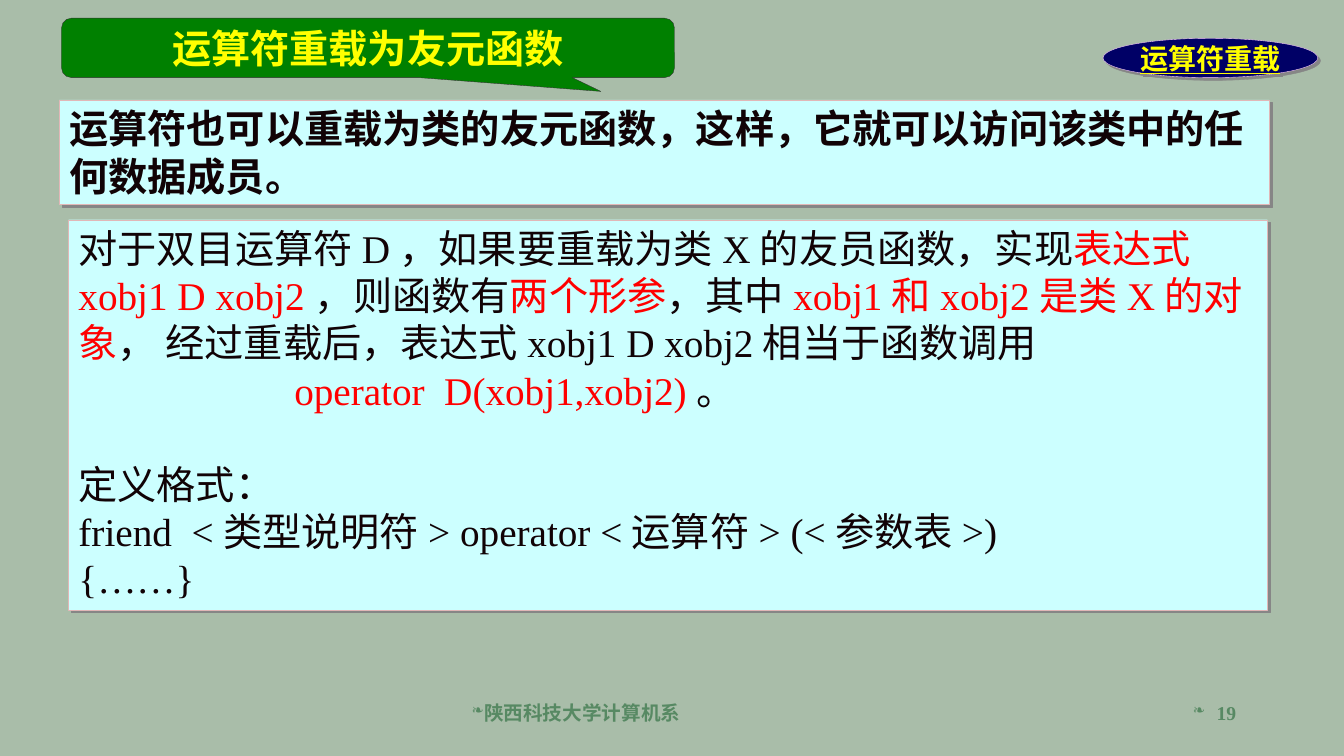
from lxml import etree
from pptx import Presentation
from pptx.dml.color import RGBColor
from pptx.enum.shapes import MSO_SHAPE
from pptx.enum.text import MSO_ANCHOR, PP_ALIGN
from pptx.oxml.ns import qn
from pptx.util import Inches, Pt

RECT, ELLIPSE = MSO_SHAPE.RECTANGLE, MSO_SHAPE.OVAL
CALLOUT = MSO_SHAPE.ROUNDED_RECTANGULAR_CALLOUT
TOP, MIDDLE = MSO_ANCHOR.TOP, MSO_ANCHOR.MIDDLE
LEFT, CENTER, RIGHT = PP_ALIGN.LEFT, PP_ALIGN.CENTER, PP_ALIGN.RIGHT
SERIF, SANS = "Times New Roman", "Noto Sans CJK SC"
COLORS = {
    "bg": "A9BDA9", "panel": "CCFFFF", "panel_line": "E1B7B7",
    "banner": "008000", "banner_line": "333333",
    "badge": "000066", "badge_line": "FFCCFF", "shadow": "868686",
    "title": "FFFF00", "ink": "110306", "key": "FF0000", "footer": "578963",
}


def rgb(name):
    return RGBColor.from_string(COLORS[name])


def add_run(p, text, color, size=28, bold=False, font=SERIF):
    r = p.add_run()
    r.text = text
    r.font.size = Pt(size)
    r.font.bold = bold
    r.font.name = font
    r.font.color.rgb = rgb(color)
    etree.SubElement(r._r.get_or_add_rPr(), qn("a:ea"), typeface=SANS)
    return r


def add_box(s, kind, box, fill, line, anchor=TOP, shadow=True):
    sp = s.shapes.add_shape(kind, *map(Inches, box))
    sp.fill.solid()
    sp.fill.fore_color.rgb = rgb(fill)
    sp.line.color.rgb = rgb(line)
    sp.line.width = Pt(0.25)
    sp.shadow.inherit = False
    if shadow:
        effects = sp._element.spPr.find(qn("a:effectLst"))
        outer = etree.SubElement(effects, qn("a:outerShdw"), dist=str(Pt(2.8)),
                                 dir="2700000", algn="ctr", rotWithShape="0")
        etree.SubElement(outer, qn("a:srgbClr"), val=COLORS["shadow"])
    tf = sp.text_frame
    tf.word_wrap = True
    tf.vertical_anchor = anchor
    tf.paragraphs[0].alignment = LEFT
    return sp


def add_banner(s, box, text):
    sp = add_box(s, CALLOUT, box, "banner", "banner_line", MIDDLE, False)
    for i, value in enumerate((0.38, 0.732, 0.167)):
        sp.adjustments[i] = value
    p = sp.text_frame.paragraphs[0]
    p.alignment = CENTER
    add_run(p, text, "title", bold=True)


def add_badge(s, box, text):
    sp = add_box(s, ELLIPSE, box, "badge", "badge_line", MIDDLE)
    tf = sp.text_frame
    tf.word_wrap = False
    p = tf.paragraphs[0]
    p.alignment = CENTER
    add_run(p, text, "title", 20, True).font.underline = True


def add_summary(s, box, text):
    tf = add_box(s, RECT, box, "panel", "panel_line").text_frame
    add_run(tf.paragraphs[0], text, "ink", bold=True, font=SANS)


def add_details(s, box, paragraphs):
    tf = add_box(s, RECT, box, "panel", "panel_line").text_frame
    for i, (indent, before, runs) in enumerate(paragraphs):
        p = tf.add_paragraph() if i else tf.paragraphs[0]
        p.alignment = LEFT
        p.space_before = Pt(before)
        p._p.get_or_add_pPr().set("indent", str(Inches(indent)))
        for text, color in runs:
            add_run(p, text, color)


def add_footer(s, box, text, align):
    tf = s.shapes.add_textbox(*map(Inches, box)).text_frame
    tf.word_wrap = True
    p = tf.paragraphs[0]
    p.alignment = align
    p.space_before = Pt(3)
    pPr = p._p.get_or_add_pPr()
    etree.SubElement(pPr, qn("a:buSzPct"), val="75000")
    etree.SubElement(pPr, qn("a:buChar"), char="❧")
    add_run(p, text, "footer", 14, True)


DETAILS = [
    (0, 0, [
        ("对于双目运算符D，如果要重载为类X的友员函数，实现", "ink"),
        ("表达式xobj1 D xobj2", "key"),
        ("，则函数有", "ink"),
        ("两个形参", "key"),
        ("，其中", "ink"),
        ("xobj1和xobj2是类X的对象", "key"),
        ("， 经过重载后，表达式xobj1 D xobj2相当于函数调用", "ink"),
    ]),
    (2.14, 0, [("operator  D(xobj1,xobj2)", "key"), ("。", "ink")]),
    (0, 33.5, [("定义格式：", "ink")]),
    (0, 0, [("friend  <类型说明符> operator <运算符> (<参数表>)", "ink")]),
    (0, 0, [("{……}", "ink")]),
]


def main():
    prs = Presentation()
    prs.slide_width, prs.slide_height = Inches(13.33), Inches(7.5)
    s = prs.slides.add_slide(prs.slide_layouts[6])
    s.background.fill.solid()
    s.background.fill.fore_color.rgb = rgb("bg")
    add_summary(s, (0.59, 0.99, 12, 1.04),
                "运算符也可以重载为类的友元函数，这样，它就可以访问该类中的任何数据成员。")
    add_banner(s, (0.61, 0.18, 6.08, 0.59), "运算符重载为友元函数")
    add_details(s, (0.68, 2.18, 11.89, 3.87), DETAILS)
    add_badge(s, (10.94, 0.38, 2.13, 0.39), "运算符重载")
    add_footer(s, (4.58, 6.9, 4.22, 0.4), "陕西科技大学计算机系", LEFT)
    add_footer(s, (9.58, 6.9, 2.78, 0.4), "19", RIGHT)
    prs.save("out.pptx")


if __name__ == "__main__":
    main()
